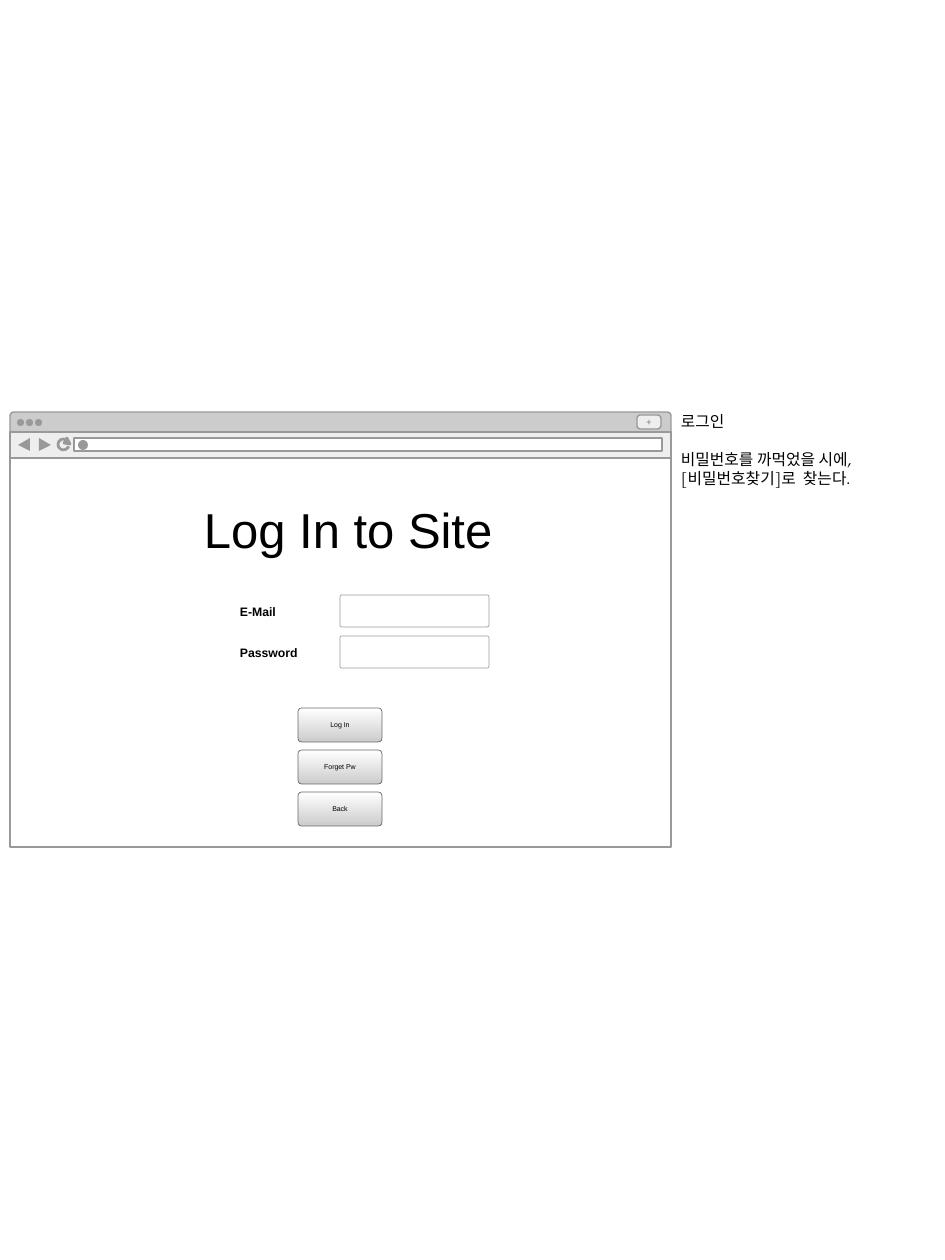
from pptx import Presentation
from pptx.dml.color import RGBColor
from pptx.enum.shapes import MSO_SHAPE as Kind
from pptx.enum.text import MSO_ANCHOR as Anchor, MSO_AUTO_SIZE as AutoSize, PP_ALIGN as Align
from pptx.util import Pt

PX = 914400 / 126
GRAY = "999999"


def style(shape, fill=None, line=None, width=0.79):
    shape.shadow.inherit = False
    if isinstance(fill, tuple):
        shape.fill.gradient()
        shape.fill.gradient_angle = 270
        for stop, color in zip(shape.fill.gradient_stops, fill):
            stop.color.rgb = RGBColor.from_string(color)
    elif fill:
        shape.fill.solid()
        shape.fill.fore_color.rgb = RGBColor.from_string(fill)
    else:
        shape.fill.background()
    if line:
        shape.line.color.rgb = RGBColor.from_string(line)
        shape.line.width = Pt(width)
    else:
        shape.line.fill.background()
    return shape


def write(shape, lines, size, color="000000", name="Arial", bold=False,
          align=Align.LEFT, anchor=Anchor.MIDDLE, gap=0):
    frame = shape.text_frame
    frame_format = {"margin_left": 0, "margin_right": 0, "margin_top": 0, "margin_bottom": 0,
                    "word_wrap": True, "auto_size": AutoSize.NONE, "vertical_anchor": anchor}
    for key, value in frame_format.items():
        setattr(frame, key, value)
    for index, line in enumerate(lines):
        paragraph = frame.add_paragraph() if index else frame.paragraphs[0]
        paragraph.text = line
        paragraph.alignment = align
        paragraph.space_before = Pt(gap if index else 0)
        for key, value in {"size": Pt(size), "name": name, "bold": bold}.items():
            setattr(paragraph.font, key, value)
        paragraph.font.color.rgb = RGBColor.from_string(color)


presentation = Presentation()
presentation.slide_width = round(945 * PX)
presentation.slide_height = round(1260 * PX)
slide = presentation.slides.add_slide(presentation.slide_layouts[5])
shapes = slide.shapes

title_bar = shapes.add_shape(Kind.ROUNDED_RECTANGLE, *[round(v * PX) for v in (10, 412, 661, 33)])
title_bar.adjustments[0] = 0.11
style(title_bar, "CCCCCC", GRAY)

for box, fill in [((10, 458, 661, 389), "FFFFFF"),
                  ((10, 432, 661, 26), "EEEEEE"),
                  ((74, 438, 588, 13), "FFFFFF")]:
    panel = shapes.add_shape(Kind.RECTANGLE, *[round(v * PX) for v in box])
    style(panel, fill, GRAY)

new_tab = shapes.add_shape(Kind.ROUNDED_RECTANGLE, *[round(v * PX) for v in (637, 415, 24, 14)])
new_tab.adjustments[0] = 0.25
style(new_tab, "EEEEEE", GRAY)
write(new_tab, ["+"], 5, GRAY, bold=True, align=Align.CENTER)

window_dots = [(17 + 9 * column, 419, 7, 7) for column in range(3)]
for box in [*window_dots, (78, 440, 10, 10)]:
    dot = shapes.add_shape(Kind.OVAL, *[round(v * PX) for v in box])
    style(dot, GRAY)

reload_ring = shapes.add_shape(Kind.ARC, *[round(v * PX) for v in (58, 439, 11, 11)])
reload_ring.adjustments[0] = 12
reload_ring.adjustments[1] = 204
style(reload_ring, None, GRAY, 1.56)

for points, line in [([(18, 445), (30, 438), (30, 451)], None),
                     ([(51, 445), (39, 451), (39, 438)], None),
                     ([(70, 444), (64, 443), (67, 438)], GRAY)]:
    builder = shapes.build_freeform(*points[0], scale=PX)
    builder.add_line_segments(points[1:], close=True)
    style(builder.convert_to_shape(), GRAY, line, 1.56)

title = shapes.title
title.left, title.top, title.width, title.height = [round(v * PX) for v in (204, 500, 301, 59)]
write(title, ["Log In to Site"], 28, anchor=Anchor.TOP)
shapes._spTree.append(title._element)

for row, text in enumerate(["E-Mail", "Password"]):
    top = 595 + 41 * row
    label = shapes.add_textbox(*[round(v * PX) for v in (240, top + 9, 72, 15)])
    write(label, [text], 7, bold=True)
    field = shapes.add_shape(Kind.ROUNDED_RECTANGLE, *[round(v * PX) for v in (340, top, 149, 32)])
    field.adjustments[0] = 0.06
    style(field, "FFFFFF", GRAY, 0.4)

for row, text in enumerate(["Log In", "Forget Pw", "Back"]):
    box = (298, 708 + 42 * row, 84, 34)
    button = shapes.add_shape(Kind.ROUNDED_RECTANGLE, *[round(v * PX) for v in box])
    button.adjustments[0] = 0.11
    style(button, ("FFFFFF", "CCCCCC"), "666666", 0.4)
    write(button, [text], 4, align=Align.CENTER)

note = shapes.add_textbox(*[round(v * PX) for v in (681, 412, 253, 76)])
write(note, ["로그인", "비밀번호를 까먹었을 시에, [비밀번호찾기]로  찾는다."], 9,
      name="TeX Gyre Pagella", anchor=Anchor.TOP, gap=11)

presentation.save("out.pptx")
